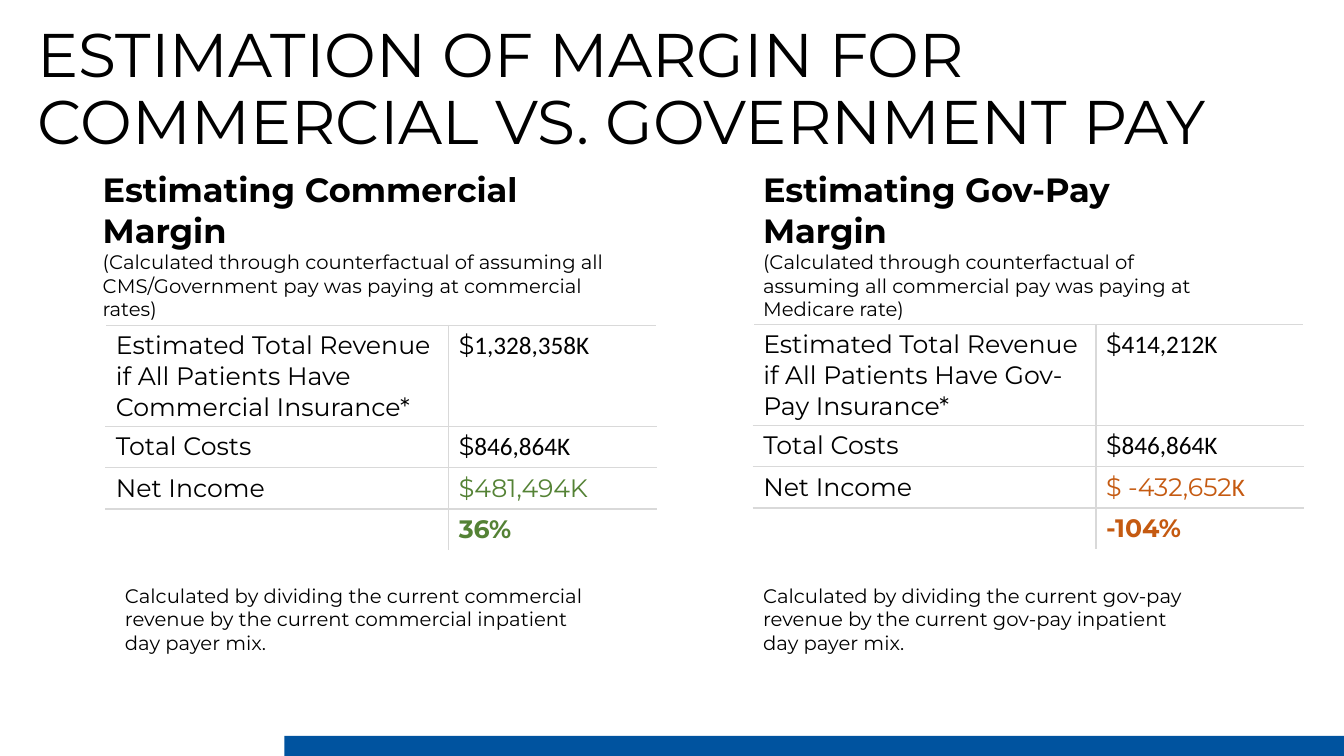
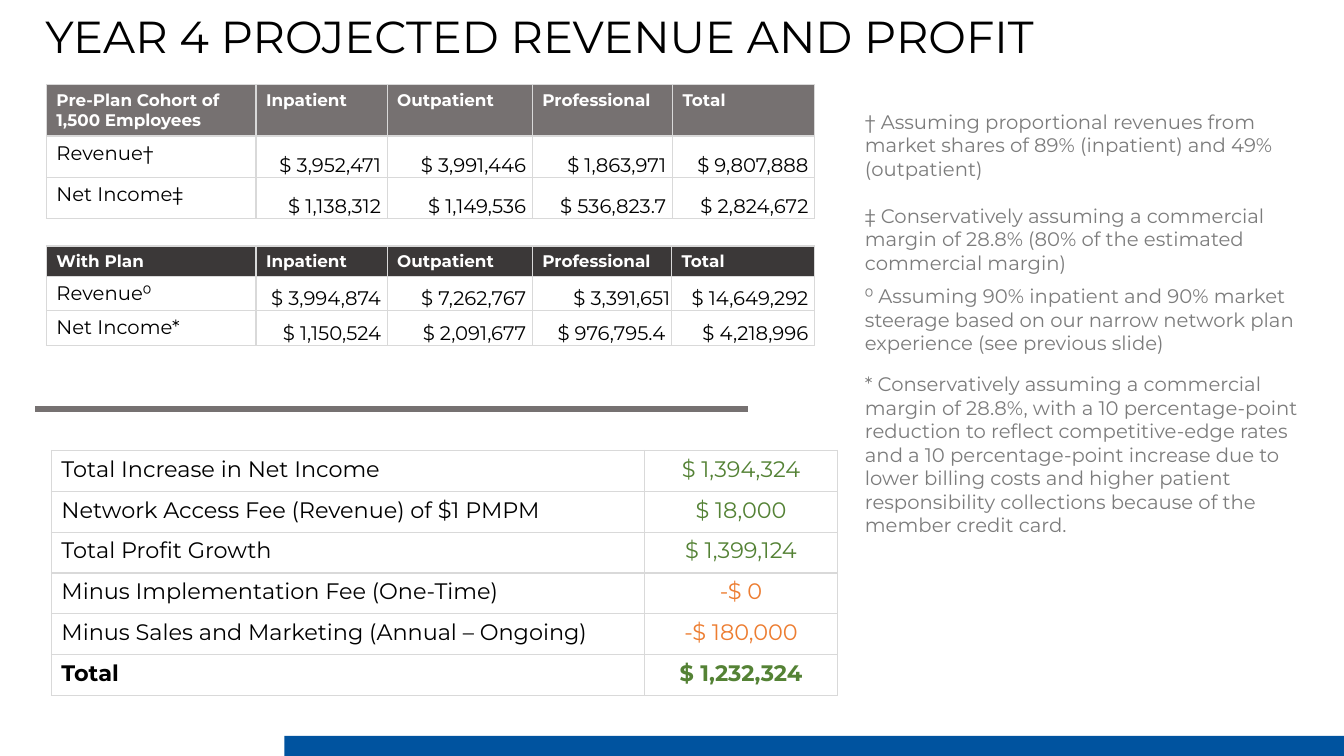
from lxml import etree
from pptx import Presentation
from pptx.dml.color import RGBColor
from pptx.enum import shapes, text
from pptx.oxml import ns
from pptx.util import Inches, Pt

# Shared style
FONT, DIGITS = "Montserrat", "Calibri"
BLACK, WHITE, BLUE, RULE = "000000", "FFFFFF", "00539F", "D9D9D9"
GRAY, CHARCOAL, NOTE = "767171", "3B3838", "7C7C7C"
GREEN, RUST, ORANGE = "548235", "C55A11", "ED7D31"
LEFT, CENTER, RIGHT = text.PP_ALIGN.LEFT, text.PP_ALIGN.CENTER, text.PP_ALIGN.RIGHT
TOP, MIDDLE, BOTTOM = text.MSO_ANCHOR.TOP, text.MSO_ANCHOR.MIDDLE, text.MSO_ANCHOR.BOTTOM

# Slide 1 content: each amount is a list of (text, font) runs
MARGIN_TITLE = "ESTIMATION OF MARGIN FOR \vCOMMERCIAL VS. GOVERNMENT PAY"
PANELS = [
    dict(head="Estimating Commercial Margin", head_box=(0.92, 1.63, 5.19, 1.62),
         how="(Calculated through counterfactual of assuming all CMS/Government pay "
             "was paying at commercial rates)",
         table_at=(1.05, 3.23), color=GREEN,
         rows=[("Estimated Total Revenue if All Patients Have Commercial Insurance*",
                [("$", FONT), ("1,328,358K", DIGITS)]),
               ("Total Costs", [("$", FONT), ("846,864K", DIGITS)]),
               ("Net Income", [("$481,494K", FONT)]),
               ("", [("36%", FONT)])],
         note="Calculated by dividing the current commercial revenue by the current "
              "commercial inpatient day payer mix.",
         note_box=(1.14, 5.74, 4.81, 0.81)),
    dict(head="Estimating Gov-Pay Margin", head_box=(7.47, 1.63, 4.77, 1.62),
         how="(Calculated through counterfactual of assuming all commercial pay "
             "was paying at Medicare rate)",
         table_at=(7.47, 3.22), color=RUST,
         rows=[("Estimated Total Revenue if All Patients Have Gov-Pay Insurance*",
                [("$", FONT), ("414,212K", DIGITS)]),
               ("Total Costs", [("$", FONT), ("846,864K", DIGITS)]),
               ("Net Income", [("$ -432,652", FONT), ("K", DIGITS)]),
               ("", [("-104%", FONT)])],
         note="Calculated by dividing the current gov-pay revenue by the current "
              "gov-pay inpatient day payer mix.",
         note_box=(7.47, 5.74, 4.5, 0.81)),
]

# Slide 2 content
REVENUE_TITLE = "YEAR 4 PROJECTED REVENUE AND PROFIT"
SERVICES = ["Inpatient", "Outpatient", "Professional", "Total"]
COHORTS = [
    dict(top=0.84, fill=GRAY, cols=[2.08, 1.3, 1.44, 1.39, 1.41], heights=[0.51, 0.41, 0.41],
         flush=None,
         rows=[["Pre-Plan Cohort of 1,500 Employees"] + SERVICES,
               ["Revenue†", "$ 3,952,471", "$ 3,991,446", "$ 1,863,971", "$ 9,807,888"],
               ["Net Income‡", "$ 1,138,312", "$ 1,149,536", "$ 536,823.7", "$ 2,824,672"]]),
    dict(top=2.44, fill=CHARCOAL, cols=[2.08, 1.3, 1.44, 1.38, 1.42], heights=[0.3, 0.34, 0.34],
         flush=(1, 3),
         rows=[["With Plan"] + SERVICES,
               ["Revenue⁰", "$ 3,994,874", "$ 7,262,767", "$ 3,391,651", "$ 14,649,292"],
               ["Net Income*", "$ 1,150,524", "$ 2,091,677", "$ 976,795.4", "$ 4,218,996"]]),
]
SUMMARY = [
    ("Total Increase in Net Income", "$ 1,394,324", GREEN),
    ("Network Access Fee (Revenue) of $1 PMPM", "$ 18,000", GREEN),
    ("Total Profit Growth", "$ 1,399,124", GREEN),
    ("Minus Implementation Fee (One-Time)", "-$ 0", ORANGE),
    ("Minus Sales and Marketing (Annual – Ongoing)", "-$ 180,000", ORANGE),
    ("Total", "$ 1,232,324", GREEN),
]
FOOTNOTES = [  # top, height, wording
    (1.04, 0.81, "† Assuming proportional revenues from market shares of 89% (inpatient) "
                 "and 49% (outpatient)"),
    (1.97, 0.81, "‡ Conservatively assuming a commercial margin of 28.8% (80% of the "
                 "estimated commercial margin)"),
    (2.77, 0.81, "⁰ Assuming 90% inpatient and 90% market steerage based on our narrow "
                 "network plan experience (see previous slide)"),
    (3.64, 1.75, "* Conservatively assuming a commercial margin of 28.8%, with a 10 "
                 "percentage-point reduction to reflect competitive-edge rates and a 10 "
                 "percentage-point increase due to lower billing costs and higher patient "
                 "responsibility collections because of the member credit card."),
]


def rgb(color):
    return RGBColor.from_string(color)


def inches(values):
    return [Inches(v) for v in values]


def style(p, size, color=BLACK, bold=False, align=LEFT):
    p.alignment = align
    f = p.font
    f.name, f.size, f.bold = FONT, Pt(size), bold
    f.color.rgb = rgb(color)


def add_slide(prs, title, box, size, anchor, spacing):
    """Slide with a title and the blue footer band."""
    s = prs.slides.add_slide(prs.slide_layouts.get_by_name("Title Only"))
    sp = s.shapes.title
    sp.left, sp.top, sp.width, sp.height = inches(box)
    tf = sp.text_frame
    tf.text = title
    tf.auto_size, tf.vertical_anchor = text.MSO_AUTO_SIZE.NONE, anchor
    style(tf.paragraphs[0], size)
    tf.paragraphs[0].line_spacing = spacing
    band = s.shapes.add_shape(shapes.MSO_SHAPE.RECTANGLE, *inches((2.82, 7.3, 10.51, 0.2)))
    band.shadow.inherit = False
    band.fill.solid()
    band.fill.fore_color.rgb = rgb(BLUE)
    band.line.fill.background()
    return s


def add_text(s, box, paragraphs):
    """Wrapped text box; paragraphs are (wording, size, colour, bold)."""
    tf = s.shapes.add_textbox(*inches(box)).text_frame
    tf.word_wrap = True
    for i, (wording, *look) in enumerate(paragraphs):
        p = tf.add_paragraph() if i else tf.paragraphs[0]
        p.text = wording
        style(p, *look)


def add_table(s, at, cols, heights):
    size = sum(cols), sum(heights)
    table = s.shapes.add_table(len(heights), len(cols), *inches((*at, *size))).table
    table.first_row = table.horz_banding = False
    for column, width in zip(table.columns, cols):
        column.width = Inches(width)
    for row, height in zip(table.rows, heights):
        row.height = Inches(height)
    return table


def fill_cell(cell, runs, size, color=BLACK, bold=False, align=LEFT, edges="LRTB", fill=None):
    """Write runs of (text, font), rule the given edges and paint the cell."""
    p = cell.text_frame.paragraphs[0]
    style(p, size, color, bold, align)
    for wording, font in runs:
        r = p.add_run()
        r.text = wording
        if font != FONT:
            r.font.name = font
    tcPr = cell._tc.get_or_add_tcPr()
    for edge in edges:
        ln = etree.SubElement(tcPr, ns.qn(f"a:ln{edge}"), w=str(Pt(1)))
        solid = etree.SubElement(ln, ns.qn("a:solidFill"))
        etree.SubElement(solid, ns.qn("a:srgbClr"), val=RULE)
    if fill:
        cell.fill.solid()
        cell.fill.fore_color.rgb = rgb(fill)
    else:
        cell.fill.background()


def add_margin_panel(s, panel):
    add_text(s, panel["head_box"], [(panel["head"], 24, BLACK, True),
                                    (panel["how"], 14, BLACK, False)])
    rows = panel["rows"]
    table = add_table(s, panel["table_at"], [3.4, 2.06], [1.0, 0.41, 0.41, 0.41])
    for i, (label, amount) in enumerate(rows):
        last = i == len(rows) - 1
        below = "" if last else "B"
        color = panel["color"] if i >= 2 else BLACK
        label_runs = [(label, FONT)] if label else []
        fill_cell(table.cell(i, 0), label_runs, 18, edges="RT" + below)
        fill_cell(table.cell(i, 1), amount, 18, color, last, edges="LT" + below)
    add_text(s, panel["note_box"], [(panel["note"], 14, BLACK, False)])


def add_cohort(s, cohort):
    table = add_table(s, (0.46, cohort["top"]), cohort["cols"], cohort["heights"])
    for i, row in enumerate(cohort["rows"]):
        for j, wording in enumerate(row):
            cell, runs = table.cell(i, j), [(wording, FONT)]
            if i == 0:
                fill_cell(cell, runs, 12, WHITE, True, fill=cohort["fill"])
            elif j == 0:
                fill_cell(cell, runs, 14)
            else:
                cell.vertical_anchor = BOTTOM
                cell.margin_left = cell.margin_top = Inches(0.01)
                cell.margin_right = Inches(0.01 if (i, j) == cohort["flush"] else 0.06)
                cell.margin_bottom = 0
                fill_cell(cell, runs, 14, align=RIGHT)


def add_summary(s):
    table = add_table(s, (0.51, 4.47), [5.88, 1.92], [0.405] * len(SUMMARY))
    for i, (label, amount, color) in enumerate(SUMMARY):
        bold = label == "Total"
        fill_cell(table.cell(i, 0), [(label, FONT)], 16, bold=bold)
        fill_cell(table.cell(i, 1), [(amount, FONT)], 16, color, bold, CENTER)


def add_divider(s):
    line = s.shapes.add_connector(shapes.MSO_CONNECTOR.STRAIGHT, *inches((0.35, 4.06, 7.42, 4.06)))
    line.line.color.rgb = rgb(GRAY)
    line.line.width = Pt(4.5)
    etree.SubElement(line._element.spPr, ns.qn("a:effectLst"))


def main():
    prs = Presentation()
    prs.slide_width, prs.slide_height = inches((13.33, 7.5))

    # Margin estimates
    s = add_slide(prs, MARGIN_TITLE, (0.27, 0.18, 12.15, 1.45), 44, MIDDLE, 0.9)
    for panel in PANELS:
        add_margin_panel(s, panel)

    # Projected revenue and profit
    s = add_slide(prs, REVENUE_TITLE, (0.35, 0.04, 11.25, 0.64), 32, TOP, 1.0)
    for cohort in COHORTS:
        add_cohort(s, cohort)
    add_divider(s)
    add_summary(s)
    for top, height, wording in FOOTNOTES:
        add_text(s, (8.48, top, 4.72, height), [(wording, 14, NOTE, False)])

    prs.save("out.pptx")


if __name__ == "__main__":
    main()
